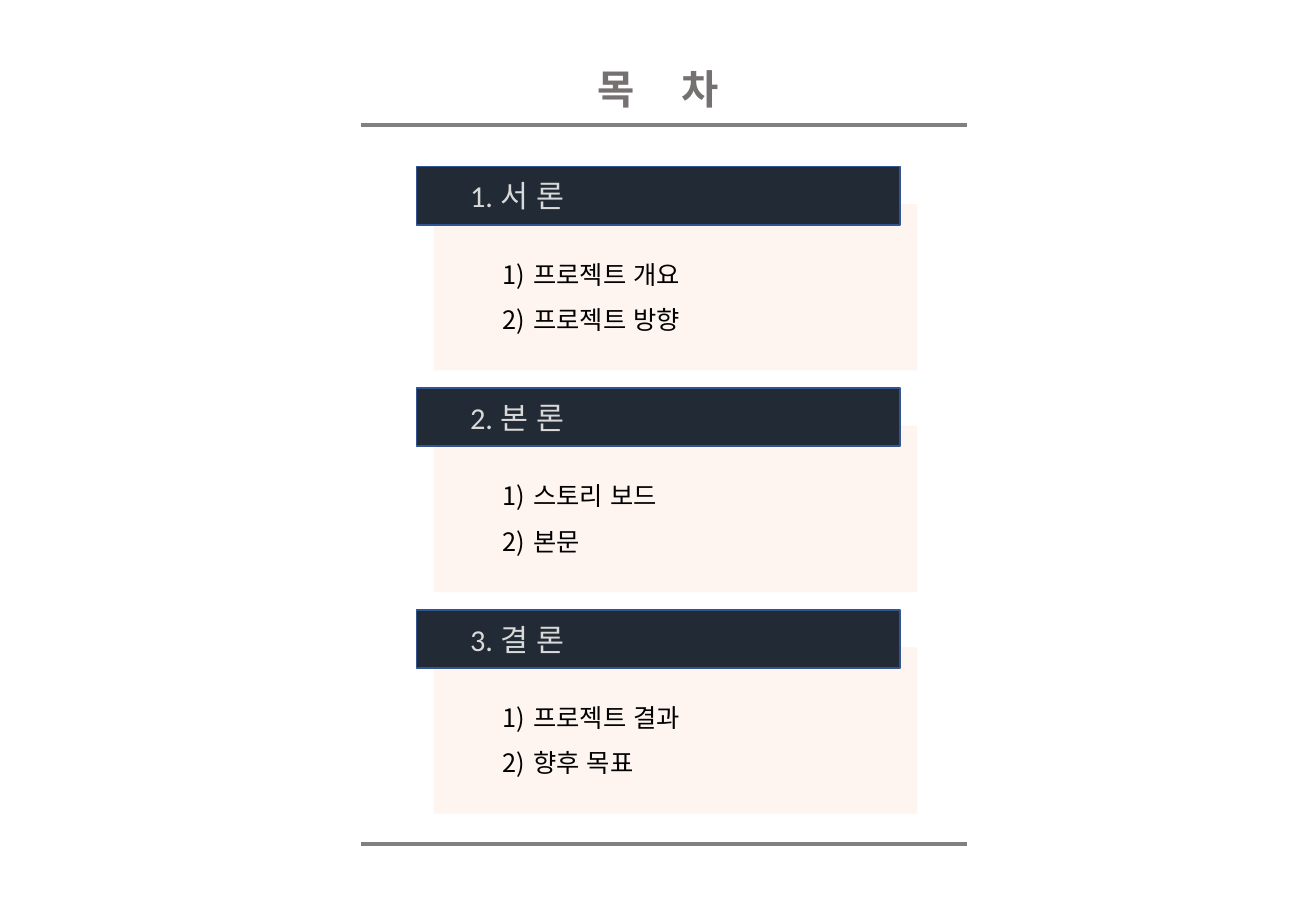
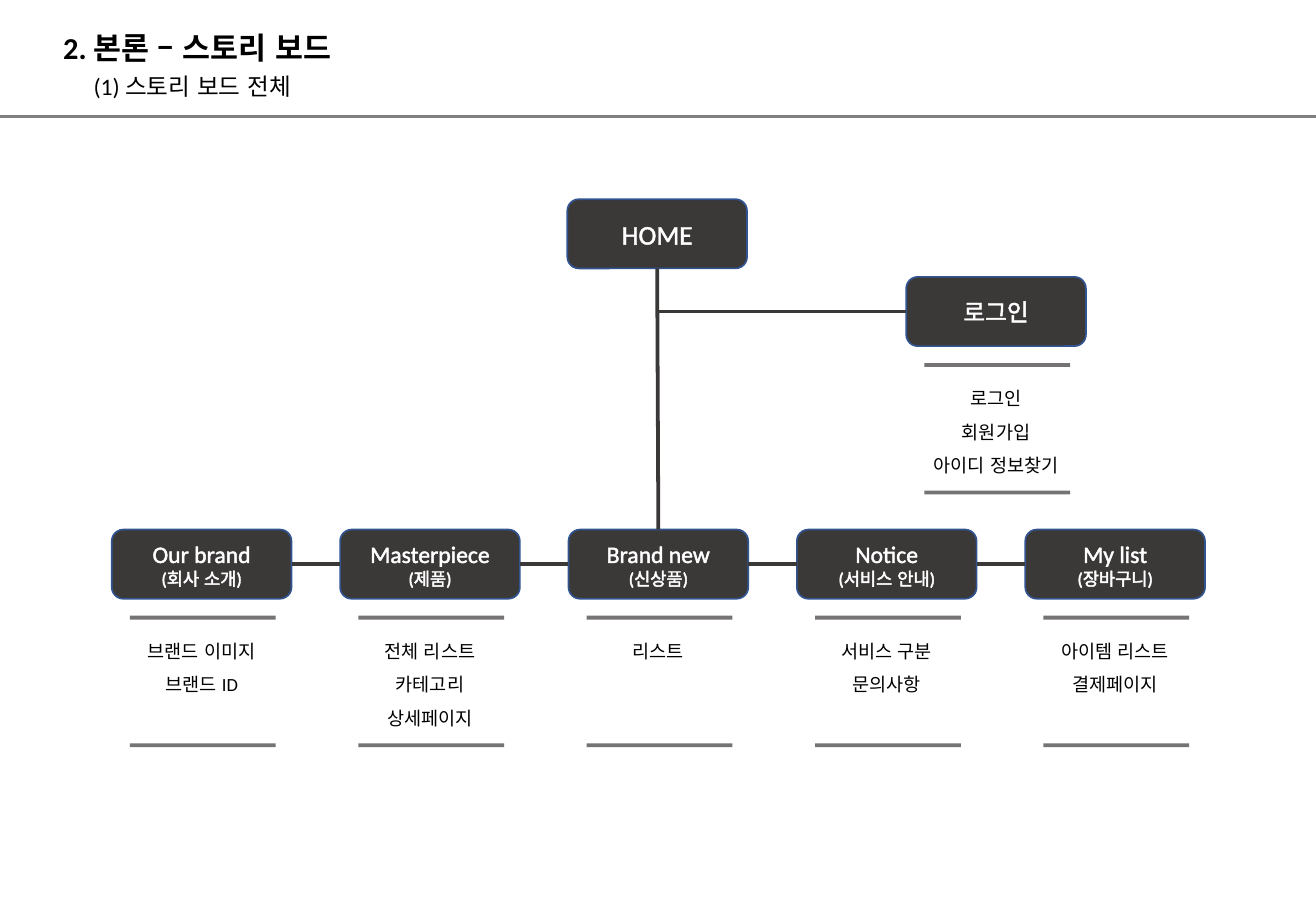
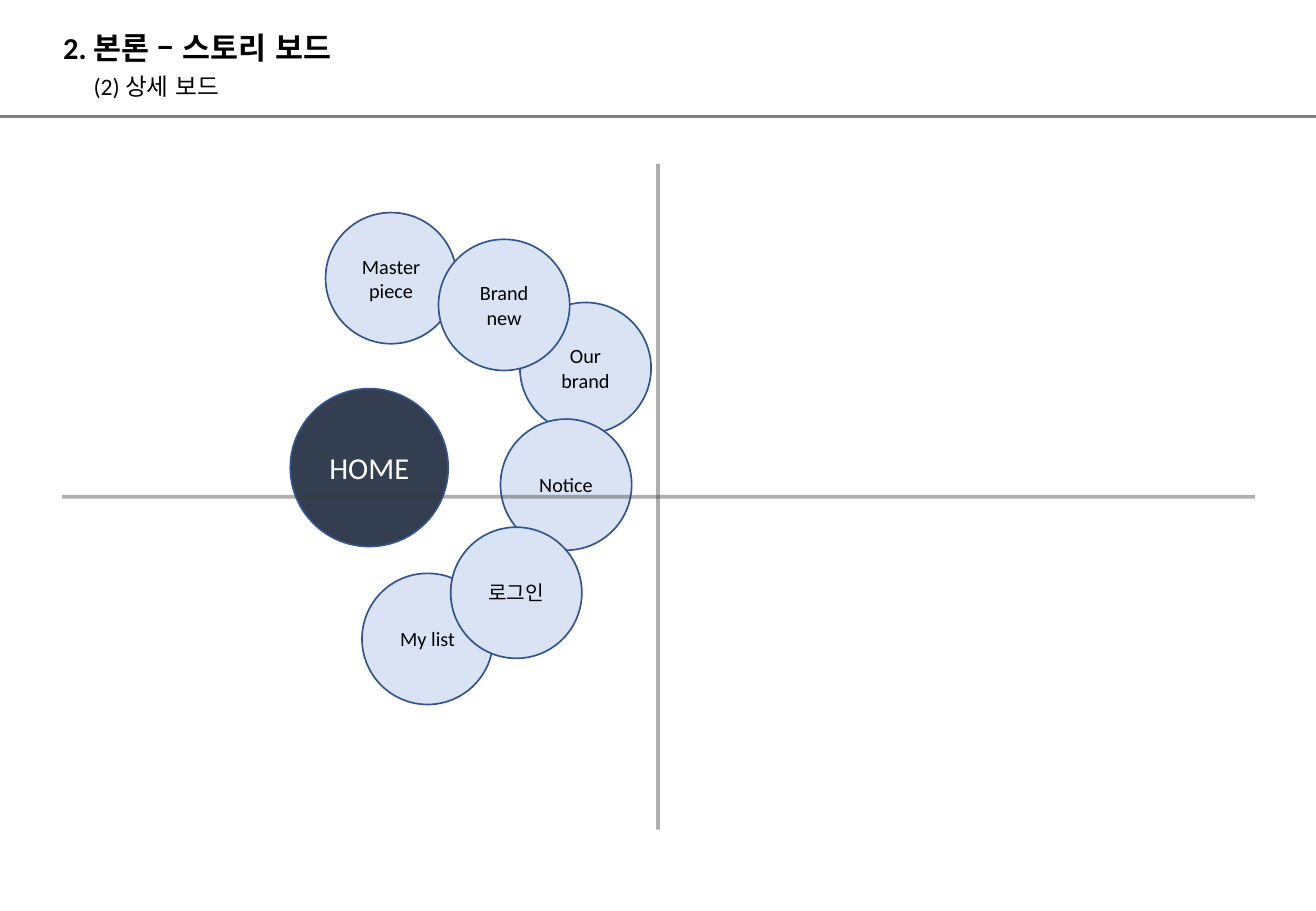
from dataclasses import dataclass, replace
from typing import Any, Optional, Sequence

from lxml.etree import SubElement
from pptx import Presentation
from pptx.dml.color import RGBColor
from pptx.enum.lang import MSO_LANGUAGE_ID
from pptx.enum.shapes import MSO_CONNECTOR, MSO_SHAPE
from pptx.enum.text import MSO_ANCHOR, MSO_AUTO_SIZE, PP_ALIGN
from pptx.oxml import parse_xml
from pptx.oxml.ns import nsdecls, qn
from pptx.util import Inches, Pt

CELL = Inches(1) / 12  # side of one grid cell
COLUMNS, ROWS = 130, 90
TOP, LEFT, BOTTOM, RIGHT = range(4)


@dataclass(frozen=True)
class Theme:
    font: str = "Calibri"
    rule: str = "808080"
    heading: str = "767171"
    ink: str = "000000"
    white: str = "FFFFFF"
    edge: str = "325491"
    panel: str = "FEF0E9"
    bar: str = "222A35"
    bar_text: str = "D9D9D9"
    node: str = "3B3838"
    hub: str = "333F50"
    bubble: str = "DAE3F3"
    contents_size: float = 24
    title_size: float = 18
    home_size: float = 16
    item_size: float = 15
    subtitle_size: float = 14
    bubble_size: float = 12
    menu_size: float = 11
    caption_size: float = 10.5
    rule_width: float = 2.25
    edge_width: float = 1


THEME = Theme()


@dataclass(frozen=True)
class Frame:
    """A rectangle measured in grid columns and rows."""
    left: float
    top: float
    width: float
    height: float

    def moved(self, columns: float, rows: float) -> "Frame":
        return replace(self, left=self.left + columns, top=self.top + rows)


@dataclass(frozen=True)
class Style:
    size: float
    color: str = THEME.ink
    bold: bool = False
    align: PP_ALIGN = PP_ALIGN.LEFT
    spacing: float = 1.0
    anchor: MSO_ANCHOR = MSO_ANCHOR.MIDDLE
    margin: float = 1.2
    outlined: bool = False
    numbered: bool = False
    word_gap: float = 0


@dataclass(frozen=True)
class Section:
    heading: str
    items: Sequence[str]


@dataclass(frozen=True)
class Menu:
    name: str
    caption: str
    entries: Sequence[str]


@dataclass(frozen=True)
class Bubble:
    label: str
    left: float
    top: float


CONTENTS = Style(THEME.contents_size, THEME.heading, bold=True,
                 align=PP_ALIGN.CENTER, word_gap=21)
BAR = Style(THEME.title_size, THEME.bar_text, margin=5.28)
ITEMS = Style(THEME.item_size, spacing=1.5, numbered=True)
TITLE = Style(THEME.title_size, bold=True, spacing=1.5)
SUBTITLE = Style(THEME.subtitle_size, spacing=1.5)
NODE = Style(THEME.subtitle_size, THEME.white, align=PP_ALIGN.CENTER, outlined=True)
ENTRIES = Style(THEME.menu_size, align=PP_ALIGN.CENTER, spacing=1.5, anchor=MSO_ANCHOR.TOP)
BUBBLE = Style(THEME.bubble_size, align=PP_ALIGN.CENTER)
HUB = Style(THEME.title_size, THEME.white, align=PP_ALIGN.CENTER)

SECTIONS = (
    Section("1. 서 론", ("프로젝트 개요", "프로젝트 방향")),
    Section("2. 본 론", ("스토리 보드", "본문")),
    Section("3. 결 론", ("프로젝트 결과", "향후 목표")),
)
MENUS = (
    Menu("Our brand", "(회사 소개)", ("브랜드 이미지", "브랜드 ID")),
    Menu("Masterpiece", "(제품)", ("전체 리스트", "카테고리", "상세페이지")),
    Menu("Brand new", "(신상품)", ("리스트",)),
    Menu("Notice", "(서비스 안내)", ("서비스 구분", "문의사항")),
    Menu("My list", "(장바구니)", ("아이템 리스트", "결제페이지")),
)
LOGIN_ENTRIES = ("로그인", "회원가입", "아이디 정보찾기")
BUBBLES = (
    Bubble("Our brand", 51.36, 29.88),
    Bubble("Master\vpiece", 32.16, 21),
    Bubble("Notice", 49.44, 41.4),
    Bubble("Brand new", 43.32, 23.64),
    Bubble("My list", 35.76, 56.64),
)
LOGIN_BUBBLE = Bubble("로그인", 44.52, 52.08)


def cells(count: float) -> int:
    return round(count * CELL)


def apply(target: Any, **values: Any) -> None:
    for name, value in values.items():
        setattr(target, name, value)


def place(box: Any, frame: Frame) -> None:
    apply(box, left=cells(frame.left), top=cells(frame.top),
          width=cells(frame.width), height=cells(frame.height))


def set_opacity(shape: Any, percent: int) -> None:
    for color in shape.element.spPr.iter(qn("a:srgbClr")):
        SubElement(color, qn("a:alpha"), val=str(percent * 1000))


def format_span(span: Any, style: Style) -> None:
    apply(span.font, name=THEME.font, size=Pt(style.size), bold=style.bold,
          language_id=MSO_LANGUAGE_ID.KOREAN)
    span.font.color.rgb = RGBColor.from_string(style.color)
    if style.outlined:
        outline = parse_xml(
            f'<a:ln {nsdecls("a")} w="{Pt(0.75)}"><a:solidFill>'
            f'<a:srgbClr val="{style.color}"/></a:solidFill></a:ln>')
        span.font._element.insert(0, outline)


def set_bullet(para: Any, numbered: bool) -> None:
    properties = para._p.get_or_add_pPr()
    indent = Inches(0.25) if numbered else 0
    properties.set("marL", str(indent))
    properties.set("indent", str(-indent))
    if numbered:
        SubElement(properties, qn("a:buFont"), typeface="+mj-lt")
        SubElement(properties, qn("a:buAutoNum"), type="arabicParenR")
    else:
        SubElement(properties, qn("a:buNone"))


def write(box: Any, lines: Sequence[str], style: Style,
          later_size: Optional[float] = None) -> None:
    """Fill a box, one paragraph a line; later_size applies after the first line."""
    body = box.text_frame
    apply(body, word_wrap=True, auto_size=MSO_AUTO_SIZE.NONE,
          vertical_anchor=style.anchor, margin_left=cells(style.margin),
          margin_right=cells(1.2), margin_top=cells(0.6), margin_bottom=cells(0.6))
    for index, line in enumerate(lines):
        para = body.paragraphs[0] if index == 0 else body.add_paragraph()
        set_bullet(para, style.numbered)
        apply(para, alignment=style.align, line_spacing=style.spacing,
              space_before=Pt(0), space_after=Pt(0))
        if style.word_gap:
            for piece in line.partition(" "):
                para.add_run().text = piece
        else:
            para.text = line
        line_style = replace(style, size=later_size) if index and later_size else style
        for span in para.runs:
            format_span(span, line_style)
            if span.text == " ":
                span.font._element.set("spc", str(round(style.word_gap * 100)))


def add_box(page: Any, kind: MSO_SHAPE, frame: Frame, fill: str,
            edge: Optional[str] = THEME.edge) -> Any:
    box = page.shapes.add_shape(kind, 0, 0, 0, 0)
    place(box, frame)
    box.shadow.inherit = False
    box.fill.solid()
    box.fill.fore_color.rgb = RGBColor.from_string(fill)
    if edge:
        box.line.color.rgb = RGBColor.from_string(edge)
        box.line.width = Pt(THEME.edge_width)
    else:
        box.line.fill.background()
    return box


def add_line(page: Any, start: tuple[float, float], end: tuple[float, float],
             color: str = THEME.node, opacity: int = 100) -> Any:
    line = page.shapes.add_connector(
        MSO_CONNECTOR.STRAIGHT, *(cells(value) for value in (*start, *end)))
    line.line.color.rgb = RGBColor.from_string(color)
    line.line.width = Pt(THEME.rule_width)
    SubElement(line.element.spPr, qn("a:effectLst"))
    if opacity < 100:
        set_opacity(line, opacity)
    return line


def join(page: Any, first: Any, first_side: int, second: Any, second_side: int) -> None:
    line = add_line(page, (0, 0), (1, 1))
    line.begin_connect(first, first_side)
    line.end_connect(second, second_side)


def add_page(deck: Any, subtitle: str) -> Any:
    """Add a story board page with its heading and full-width rule."""
    page = deck.slides.add_slide(deck.slide_layouts.get_by_name("Title and Content"))
    add_line(page, (0, 11.52), (COLUMNS, 11.52), THEME.rule)
    place(page.shapes.title, Frame(5.04, 0.72, 32.76, 6.12))
    write(page.shapes.title, ("2. 본론 – 스토리 보드",), TITLE)
    place(page.placeholders[1], Frame(8.04, 5.28, 28.56, 5.04))
    write(page.placeholders[1], (subtitle,), SUBTITLE)
    return page


def build_contents(deck: Any) -> None:
    page = deck.slides.add_slide(deck.slide_layouts.get_by_name("Comparison"))
    place(page.shapes.title, Frame(35.64, 5.4, 58.8, 6.72))
    write(page.shapes.title, ("목 차",), CONTENTS)
    for row in (12.36, 83.4):
        add_line(page, (35.64, row), (95.52, row), THEME.rule)
    title, *lists = page.placeholders
    for index, section in enumerate(SECTIONS):
        bar_frame = Frame(41.16, 16.44 + 21.9 * index, 47.76, 5.76)
        panel_frame = replace(bar_frame.moved(1.68, 3.72), height=16.44)
        panel = add_box(page, MSO_SHAPE.RECTANGLE, panel_frame, THEME.panel, None)
        set_opacity(panel, 64)
        bar = add_box(page, MSO_SHAPE.RECTANGLE, bar_frame, THEME.bar)
        write(bar, (section.heading,), BAR)
        items = lists[index]
        place(items, replace(bar_frame.moved(7.32, 7.2), width=37.92, height=9.84))
        write(items, section.items, ITEMS)
        page.shapes._spTree.append(items.element)  # bring the list above its panel
    for spare in lists[len(SECTIONS):]:
        spare.element.getparent().remove(spare.element)


def add_node(page: Any, frame: Frame, lines: Sequence[str], style: Style = NODE) -> Any:
    node = add_box(page, MSO_SHAPE.ROUNDED_RECTANGLE, frame, THEME.node)
    write(node, lines, style, THEME.caption_size)
    return node


def add_entries(page: Any, node: Frame, entries: Sequence[str]) -> None:
    """List the entries of a node between two rules below it."""
    box = page.shapes.add_textbox(0, 0, 0, 0)
    place(box, replace(node.moved(0, 9.2), height=11.64))
    write(box, entries, ENTRIES)
    for drop in (8.7, 21.3):
        row = node.top + drop
        add_line(page, (node.left + 1.8, row), (node.left + 16.2, row), opacity=69)


def build_site_map(deck: Any) -> None:
    page = add_page(deck, "(1) 스토리 보드 전체")
    first = Frame(11.04, 52.32, 17.76, 6.84)
    home_frame = replace(first, left=56.04, top=19.68)
    login_frame = replace(first, left=89.52, top=27.36)
    home = add_node(page, home_frame, ("HOME",), replace(NODE, size=THEME.home_size))
    login = add_node(page, login_frame, ("로그인",))
    nodes = []
    for index, menu in enumerate(MENUS):
        frame = first.moved(22.56 * index, 0)
        nodes.append(add_node(page, frame, (menu.name, menu.caption)))
        add_entries(page, frame, menu.entries)
    add_entries(page, login_frame, LOGIN_ENTRIES)
    join(page, home, BOTTOM, nodes[2], TOP)
    branch = add_line(page, (89.52, 30.78), (64.92, 30.78))
    branch.begin_connect(login, LEFT)
    for before, after in zip(nodes, nodes[1:]):
        join(page, after, LEFT, before, RIGHT)


def add_bubble(page: Any, bubble: Bubble) -> None:
    frame = Frame(bubble.left, bubble.top, 12.96, 12.96)
    write(add_box(page, MSO_SHAPE.OVAL, frame, THEME.bubble), (bubble.label,), BUBBLE)


def build_detail_board(deck: Any) -> None:
    page = add_page(deck, "(2) 상세 보드")
    hub = add_box(page, MSO_SHAPE.OVAL, Frame(28.68, 38.4, 15.6, 15.6), THEME.hub)
    write(hub, ("HOME",), HUB)
    for bubble in BUBBLES:
        add_bubble(page, bubble)
    add_line(page, (COLUMNS / 2, 16.2), (COLUMNS / 2, 81.96), opacity=40)
    add_line(page, (6.12, 49.08), (123.96, 49.08), opacity=40)
    add_bubble(page, LOGIN_BUBBLE)


def main() -> None:
    deck = Presentation()
    apply(deck, slide_width=cells(COLUMNS), slide_height=cells(ROWS))
    build_contents(deck)
    build_site_map(deck)
    build_detail_board(deck)
    deck.save("out.pptx")


if __name__ == "__main__":
    main()
